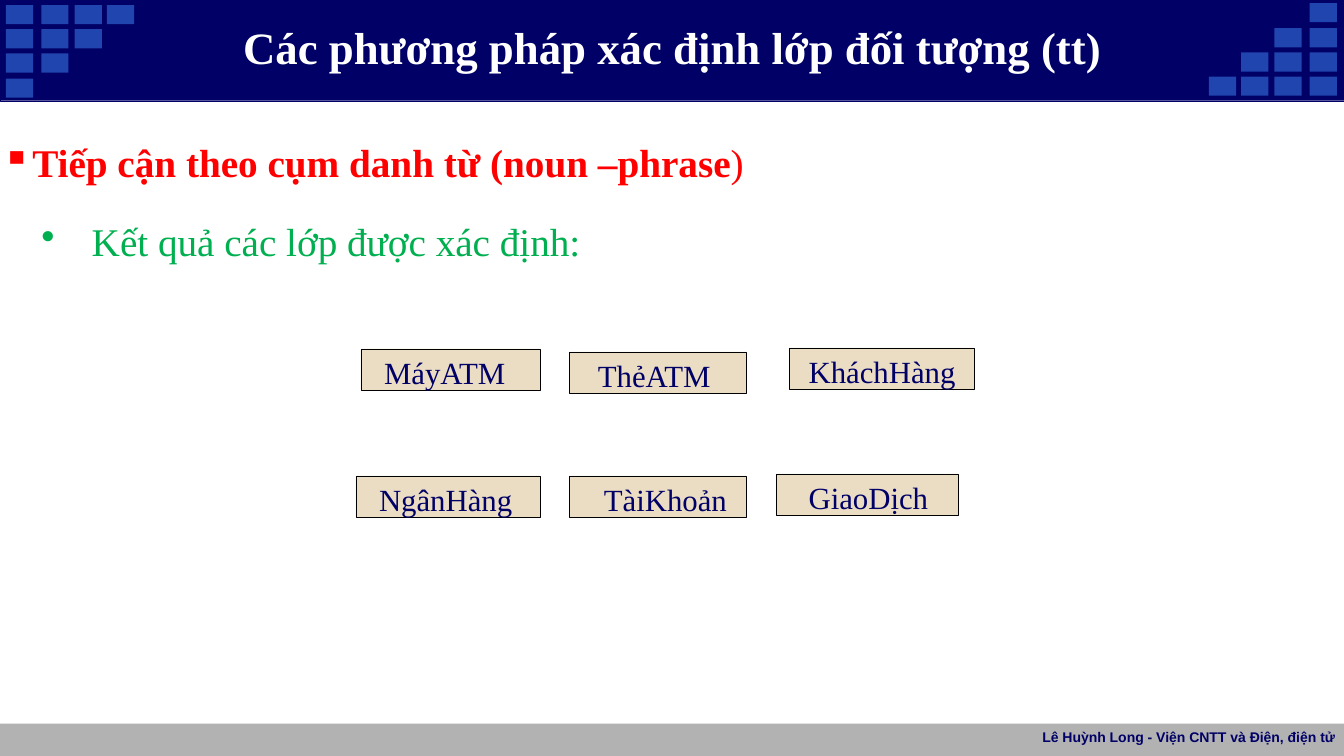
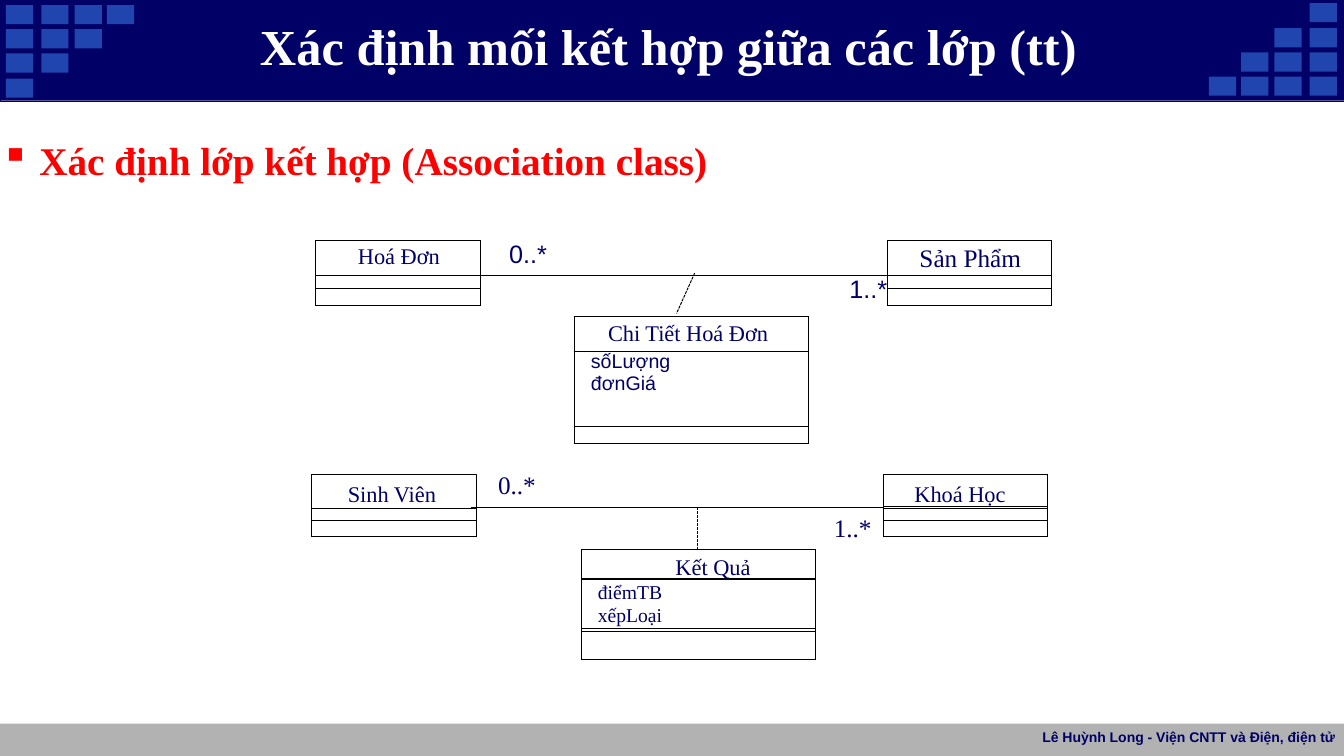
from lxml import etree
from pptx import Presentation
from pptx.dml.color import RGBColor
from pptx.enum.dml import MSO_LINE
from pptx.enum.shapes import MSO_CONNECTOR, MSO_SHAPE
from pptx.enum.text import MSO_ANCHOR, PP_ALIGN
from pptx.oxml.ns import qn
from pptx.util import Inches, Pt

NAVY = RGBColor(0x00, 0x00, 0x66)
BLUE = RGBColor(0x20, 0x45, 0xAE)
GRAY = RGBColor(0xB2, 0xB2, 0xB2)
BEIGE = RGBColor(0xEB, 0xDD, 0xC3)
RED = RGBColor(0xFF, 0x00, 0x00)
GREEN = RGBColor(0x00, 0xB0, 0x50)
WHITE = RGBColor(0xFF, 0xFF, 0xFF)
BLACK = RGBColor(0x00, 0x00, 0x00)
SERIF = "Times New Roman"
SANS = "Arial"
RECT = MSO_SHAPE.RECTANGLE
STRAIGHT = MSO_CONNECTOR.STRAIGHT
DASH = MSO_LINE.SQUARE_DOT
TOP, MIDDLE = MSO_ANCHOR.TOP, MSO_ANCHOR.MIDDLE
LEFT, CENTER, RIGHT = PP_ALIGN.LEFT, PP_ALIGN.CENTER, PP_ALIGN.RIGHT


def add_box(s, x, y, w, h, fill=None, line=None, inset=0.0, anchor=TOP):
    at = Inches(x), Inches(y), Inches(w), Inches(h)
    if fill is None and line is None:
        sp = s.shapes.add_textbox(*at)
    else:
        sp = s.shapes.add_shape(RECT, *at)
        sp.shadow.inherit = False
        if fill is None:
            sp.fill.background()
        else:
            sp.fill.solid()
            sp.fill.fore_color.rgb = fill
        if line is None:
            sp.line.fill.background()
        else:
            sp.line.color.rgb = line
            sp.line.width = Pt(0.25)
    tf = sp.text_frame
    tf.word_wrap = True
    tf.vertical_anchor = anchor
    tf.margin_left = tf.margin_right = tf.margin_bottom = 0
    tf.margin_top = Inches(inset)
    return sp


def write(tf, text, size, color=NAVY, font=SERIF, bold=False, align=LEFT,
          left=0, hang=0, bullet=None):
    tf.text = text
    for p in tf.paragraphs:
        p.alignment = align
        pPr = p._p.get_or_add_pPr()
        pPr.set("marL", str(Inches(left)))
        pPr.set("indent", str(-Inches(hang)))
        if bullet:
            etree.SubElement(pPr, qn("a:buChar"), char=bullet)
        for r in p.runs:
            r.font.size = Pt(size)
            r.font.name = font
            r.font.bold = bold
            r.font.color.rgb = color


prs = Presentation()
prs.slide_width = Inches(13.33)
prs.slide_height = Inches(7.5)
layout = prs.slide_layouts[6]
for ph in list(layout.placeholders):
    ph.element.getparent().remove(ph.element)

classes_slide = prs.slides.add_slide(layout)
links_slide = prs.slides.add_slide(layout)

s = classes_slide
add_box(s, 0, 7.18, 13.33, 0.33, GRAY)
add_box(s, 0, 0, 13.33, 1, NAVY, NAVY)
for row, y in enumerate((0.05, 0.29, 0.53, 0.78)):
    for x in (0.06, 0.41, 0.74, 1.06)[:4 - row]:
        add_box(s, x, y, 0.27, 0.19, BLUE)
        add_box(s, 13.05 - x, 0.81 - y, 0.27, 0.19, BLUE)
for sp in list(s.shapes):
    layout.shapes.element.append(sp.element)

for s, title, size, x, y, w, h in (
    (classes_slide, "Các phương pháp xác định lớp đối tượng (tt)", 32, 2.17, 0.18, 9, 0.55),
    (links_slide, "Xác định mối kết hợp giữa các lớp (tt)", 36, 2.42, 0.13, 8.42, 0.62),
):
    sp = add_box(s, x, y, w, h, inset=0.01, anchor=MIDDLE)
    write(sp.text_frame, title, size, WHITE, bold=True, align=CENTER)
    sp = add_box(s, 10.17, 7.18, 3.07, 0.3, inset=0.05)
    write(sp.text_frame, "Lê Huỳnh Long - Viện CNTT và Điện, điện tử", 10,
          font=SANS, bold=True, align=RIGHT)

s = classes_slide
tf = add_box(s, 0, 1.01, 11.11, 1.61, inset=0.13).text_frame
write(tf, "Tiếp cận theo cụm danh từ (noun –phrase)\nKết quả các lớp được xác định:",
      28, GREEN, left=0.91, hang=0.5)
heading, result = tf.paragraphs
for p, bullet in ((heading, "▪"), (result, "•")):
    etree.SubElement(p._p.pPr, qn("a:buChar"), char=bullet)
    p.line_spacing = 1.5
result.space_before = Pt(6)
heading._p.pPr.set("marL", str(Inches(0.32)))
heading._p.pPr.set("indent", str(-Inches(0.3)))
heading.runs[0].text = "Tiếp cận theo cụm danh từ (noun –phrase"
heading.add_run().text = ")"
for r in heading.runs:
    r.font.size = Pt(28)
    r.font.name = SERIF
    r.font.color.rgb = RED
heading.runs[0].font.bold = True

for name, x, y, w, left in (
    ("MáyATM", 3.58, 3.46, 1.78, 0.23),
    ("ThẻATM", 5.65, 3.49, 1.75, 0.28),
    ("KháchHàng", 7.83, 3.45, 1.83, 0.19),
    ("NgânHàng", 3.53, 4.72, 1.83, 0.23),
    ("TàiKhoản", 5.65, 4.72, 1.75, 0.34),
    ("GiaoDịch", 7.7, 4.7, 1.8, 0.32),
):
    sp = add_box(s, x, y, w, 0.41, BEIGE, BLACK, 0.05)
    write(sp.text_frame, name, 22, left=left)

s = links_slide
sp = add_box(s, 0, 1.33, 8.26, 0.49, inset=0.02)
write(sp.text_frame, "Xác định lớp kết hợp (Association class)", 28, RED,
      bold=True, left=0.39, hang=0.38, bullet="▪")

for x, y, cols, rows, rule, texts in (
    (3.13, 2.38, (1.63, 4.04, 1.63), (0.33, 0.13, 0.15), 0.75, {
        (0, 0): ("Hoá Đơn", 16, SERIF, LEFT, 0.42, 0.05),
        (0, 1): ("0..*", 18, SANS, LEFT, 0.29, 0.01),
        (0, 2): ("Sản Phẩm", 18, SERIF, LEFT, 0.32, 0.05),
        (1, 1): ("1..*", 18, SANS, RIGHT, 0, 0),
    }),
    (5.69, 3.14, (2.33,), (0.34, 0.75, 0.17), 0.25, {
        (0, 0): ("Chi Tiết Hoá Đơn", 16, SERIF, LEFT, 0.34, 0.05),
        (1, 0): ("sốLượng\nđơnGiá", 14, SANS, LEFT, 0.17, 0),
    }),
):
    table = s.shapes.add_table(len(rows), len(cols), Inches(x), Inches(y),
                               Inches(sum(cols)), Inches(sum(rows))).table
    table.first_row = table.horz_banding = False
    for column, w in zip(table.columns, cols):
        column.width = Inches(w)
    for row, h in zip(table.rows, rows):
        row.height = Inches(h)
    if len(cols) == 3:
        table.cell(1, 1).merge(table.cell(2, 1))
    for i in range(len(rows)):
        for j in range(len(cols)):
            cell = table.cell(i, j)
            cell.margin_left = cell.margin_right = 0
            cell.margin_top = cell.margin_bottom = 0
            if (i, j) in texts:
                text, size, font, align, left, inset = texts[i, j]
                cell.margin_top = Inches(inset)
                write(cell.text_frame, text, size, font=font, align=align, left=left)
            else:
                etree.SubElement(cell.text_frame.paragraphs[0]._p,
                                 qn("a:endParaRPr"), sz="500")
            drawn = ("LRB", "LRT", "LR")[i] if j == 1 else "LRTB"
            tcPr = cell._tc.get_or_add_tcPr()
            for side in "LRTB":
                width = rule if (i, side) in ((0, "B"), (1, "T")) else 0.25
                ln = etree.SubElement(tcPr, qn("a:ln" + side), w=str(Pt(width)))
                if side in drawn:
                    fill = etree.SubElement(ln, qn("a:solidFill"))
                    etree.SubElement(fill, qn("a:srgbClr"), val=str(BLACK))
                else:
                    etree.SubElement(ln, qn("a:noFill"))
            cell.fill.background()

for x, w, tops, bottom in (
    (3.09, 1.63, (4.7, 5.04, 5.16), 5.32),
    (8.76, 1.63, (4.7, 5.04, 5.16), 5.32),
    (5.76, 2.33, (5.45, 5.75, 6.26), 6.54),
):
    for y in tops:
        add_box(s, x, y, w, bottom - y, line=BLACK)

for text, size, x, y, w, h, line, left, inset in (
    ("Sinh Viên", 16, 3.09, 4.74, 1.63, 0.28, None, 0.36, 0.02),
    ("Khoá Học", 16, 8.76, 4.7, 1.63, 0.32, BLACK, 0.31, 0.06),
    ("Kết Quả", 16, 5.76, 5.45, 2.33, 0.29, BLACK, 0.94, 0.04),
    ("điểmTB\nxếpLoại", 14, 5.76, 5.75, 2.33, 0.48, BLACK, 0.17, 0),
    ("0..*", 18, 4.93, 4.64, 0.5, 0.33, None, 0.01, 0.02),
    ("1..*", 18, 8.26, 5.06, 0.5, 0.33, None, 0.01, 0.02),
):
    sp = add_box(s, x, y, w, h, line=line, inset=inset)
    write(sp.text_frame, text, size, left=left)

for x1, y1, x2, y2, dash in (
    (6.89, 2.71, 6.71, 3.11, DASH),
    (4.67, 5.03, 8.76, 5.03, None),
    (6.92, 5.03, 6.92, 5.45, DASH),
):
    link = s.shapes.add_connector(STRAIGHT, Inches(x1), Inches(y1), Inches(x2), Inches(y2))
    link.line.color.rgb = BLACK
    link.line.width = Pt(0.72)
    if dash:
        link.line.dash_style = dash
    etree.SubElement(link._element.spPr, qn("a:effectLst"))

prs.save("out.pptx")
